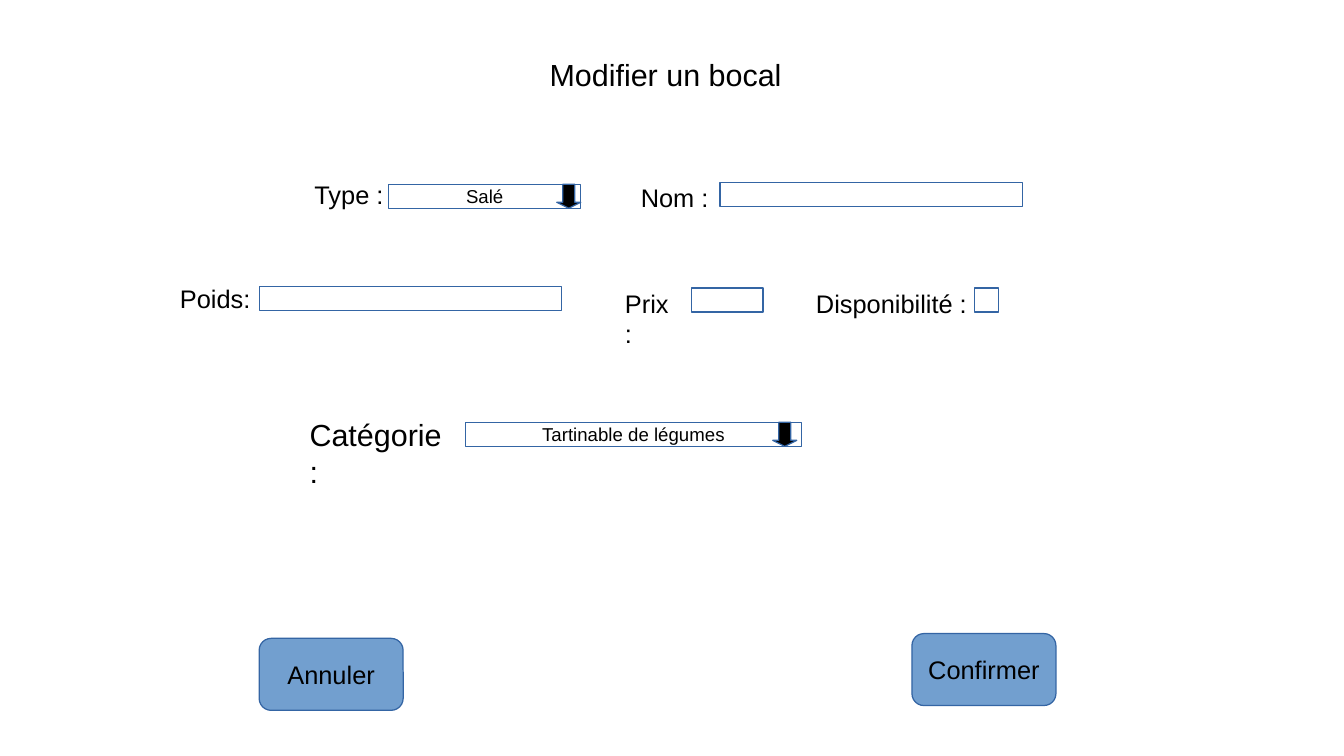
"""Build the "Modifier un bocal" form slide."""
import pptx
import pptx.dml.color
import pptx.enum.shapes
import pptx.enum.text
import pptx.util

Cm = pptx.util.Cm
SHAPE = pptx.enum.shapes.MSO_SHAPE
ANCHOR = pptx.enum.text.MSO_ANCHOR
ALIGN = pptx.enum.text.PP_ALIGN

COLORS = {"text": "000000", "field": "FFFFFF", "button": "729FCF",
          "arrow": "000000", "line": "3465A4"}
TITLE = ("Modifier un bocal", 11.2, 1.04, 5.5, 0.96)
LABELS = [
    ("Type\u00a0:".replace("\u00a0", " "), 6.3, 3.6, 3.02, 15),
    ("Nom :", 13.1, 3.66, 2.05, 15),
    ("Poids:", 3.5, 5.77, 3.45, 15),
    ("Prix :", 12.77, 5.87, 1.7, 15),
    ("Disponibilité :", 16.75, 5.87, 3.65, 15),
    ("Catégorie :", 6.2, 8.54, 3.6, 18),
]
FIELDS = [(15, 3.8, 6.3), (5.4, 5.97, 6.3), (14.4, 6, 1.5), (20.3, 6, 0.5)]
DROPDOWNS = [
    ("Salé", 8.1, 3.84, 4, 11.6),
    ("Tartinable de légumes", 9.7, 8.8, 7, 16.1),
]
BUTTONS = [("Annuler", 5.4, 13.3), ("Confirmer", 19, 13.2)]
FIELD_H = 0.5
BUTTON_W, BUTTON_H = 3, 1.5


def rgb(name):
    """Return the named colour."""
    return pptx.dml.color.RGBColor.from_string(COLORS[name])


def write(sp, text, size=15, align=ALIGN.LEFT, anchor=ANCHOR.TOP, grow=False):
    """Put formatted text in a shape."""
    tf = sp.text_frame
    tf.margin_left = tf.margin_right = Cm(0.25)
    tf.margin_top = tf.margin_bottom = Cm(0.13)
    tf.vertical_anchor = anchor
    tf.word_wrap = not grow
    if grow:
        tf.auto_size = pptx.enum.text.MSO_AUTO_SIZE.SHAPE_TO_FIT_TEXT
    p = tf.paragraphs[0]
    p.alignment = align
    r = p.add_run()
    r.text = text
    r.font.name = "Arial"
    r.font.size = pptx.util.Pt(size)
    r.font.color.rgb = rgb("text")


def add_box(s, kind, x, y, w, h, fill):
    """Add a filled, thinly outlined shape."""
    sp = s.shapes.add_shape(kind, Cm(x), Cm(y), Cm(w), Cm(h))
    sp.shadow.inherit = False
    sp.fill.solid()
    sp.fill.fore_color.rgb = rgb(fill)
    sp.line.color.rgb = rgb("line")
    sp.line.width = 0
    return sp


def main():
    """Lay out the form and save it."""
    prs = pptx.Presentation()
    prs.slide_width, prs.slide_height = Cm(28), Cm(15.75)
    s = prs.slides.add_slide(prs.slide_layouts[5])

    text, x, y, w, h = TITLE
    title = s.shapes.title
    title.left, title.top, title.width, title.height = Cm(x), Cm(y), Cm(w), Cm(h)
    write(title, text, size=18, grow=True)

    for text, x, y, w, size in LABELS:
        h = 0.96 if size == 18 else 0.85
        sp = s.shapes.add_textbox(Cm(x), Cm(y), Cm(w), Cm(h))
        write(sp, text, size=size, grow=True)

    for x, y, w in FIELDS:
        add_box(s, SHAPE.RECTANGLE, x, y, w, FIELD_H, "field")

    for text, x, y, w, arrow_x in DROPDOWNS:
        sp = add_box(s, SHAPE.RECTANGLE, x, y, w, FIELD_H, "field")
        write(sp, text, size=11, align=ALIGN.CENTER, anchor=ANCHOR.MIDDLE)
        arrow = add_box(s, SHAPE.DOWN_ARROW, arrow_x, y, FIELD_H, FIELD_H, "arrow")
        arrow.adjustments[1] = 0.25

    for text, x, y in BUTTONS:
        sp = add_box(s, SHAPE.ROUNDED_RECTANGLE, x, y, BUTTON_W, BUTTON_H, "button")
        write(sp, text, align=ALIGN.CENTER, anchor=ANCHOR.MIDDLE)

    prs.save("out.pptx")


if __name__ == "__main__":
    main()
